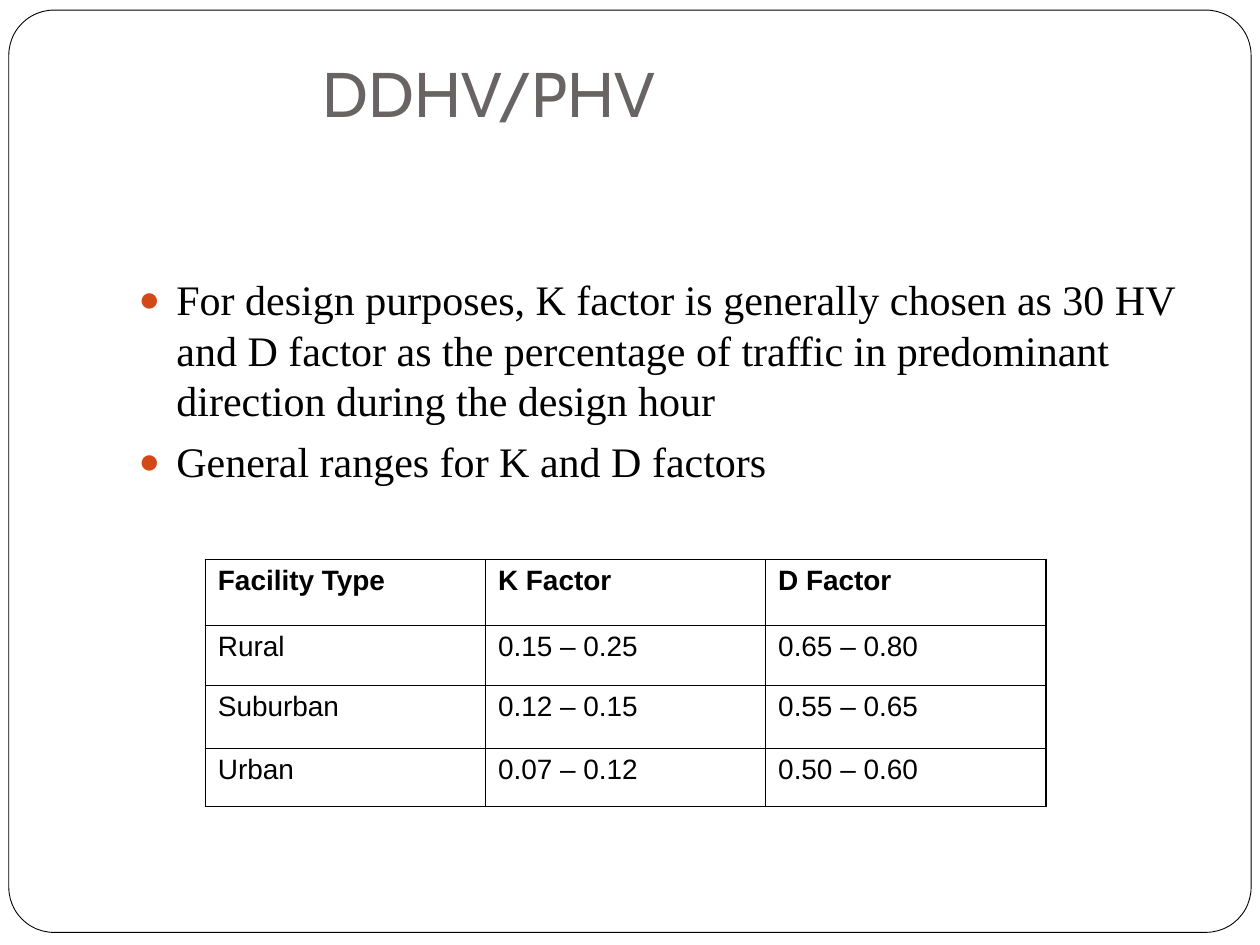
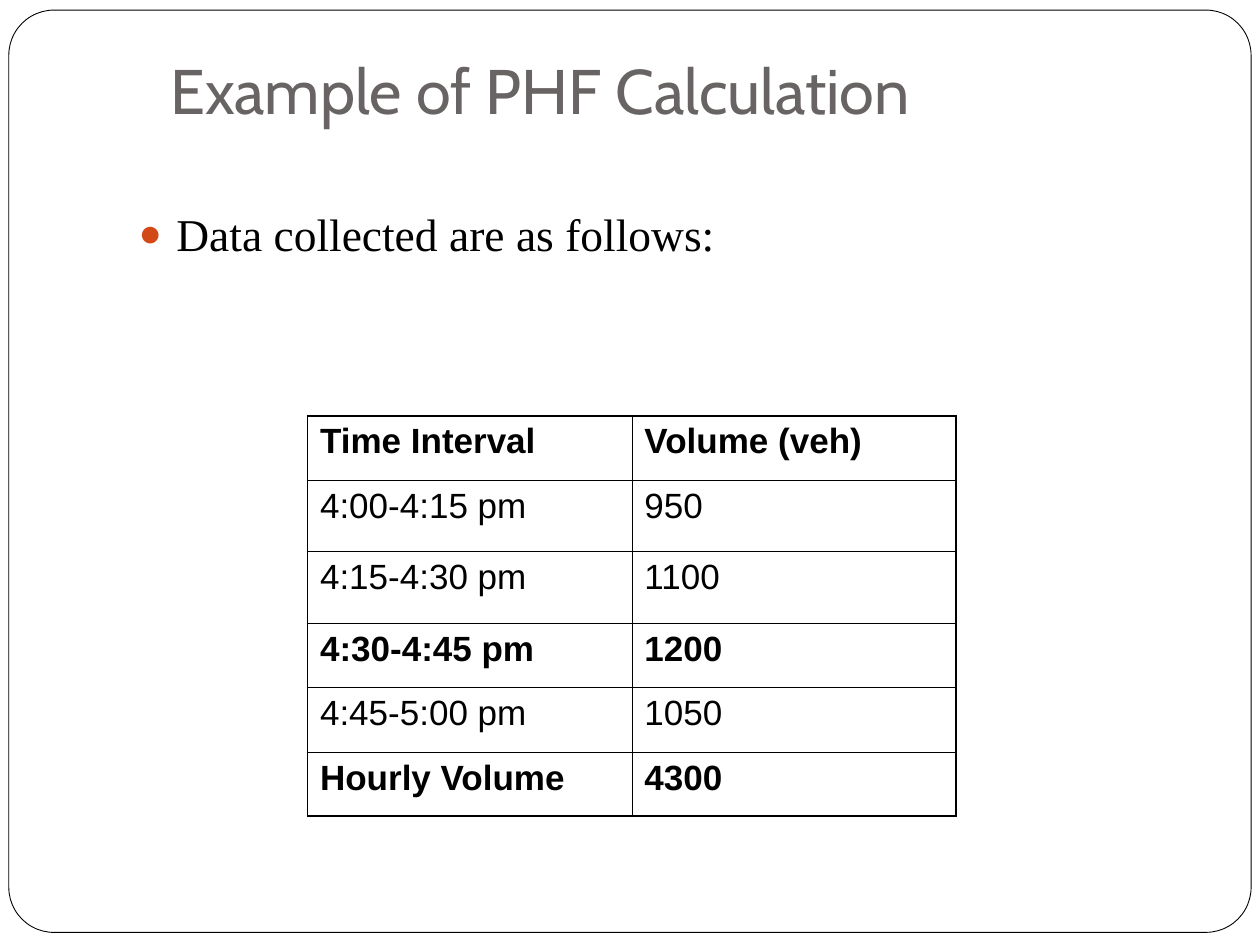
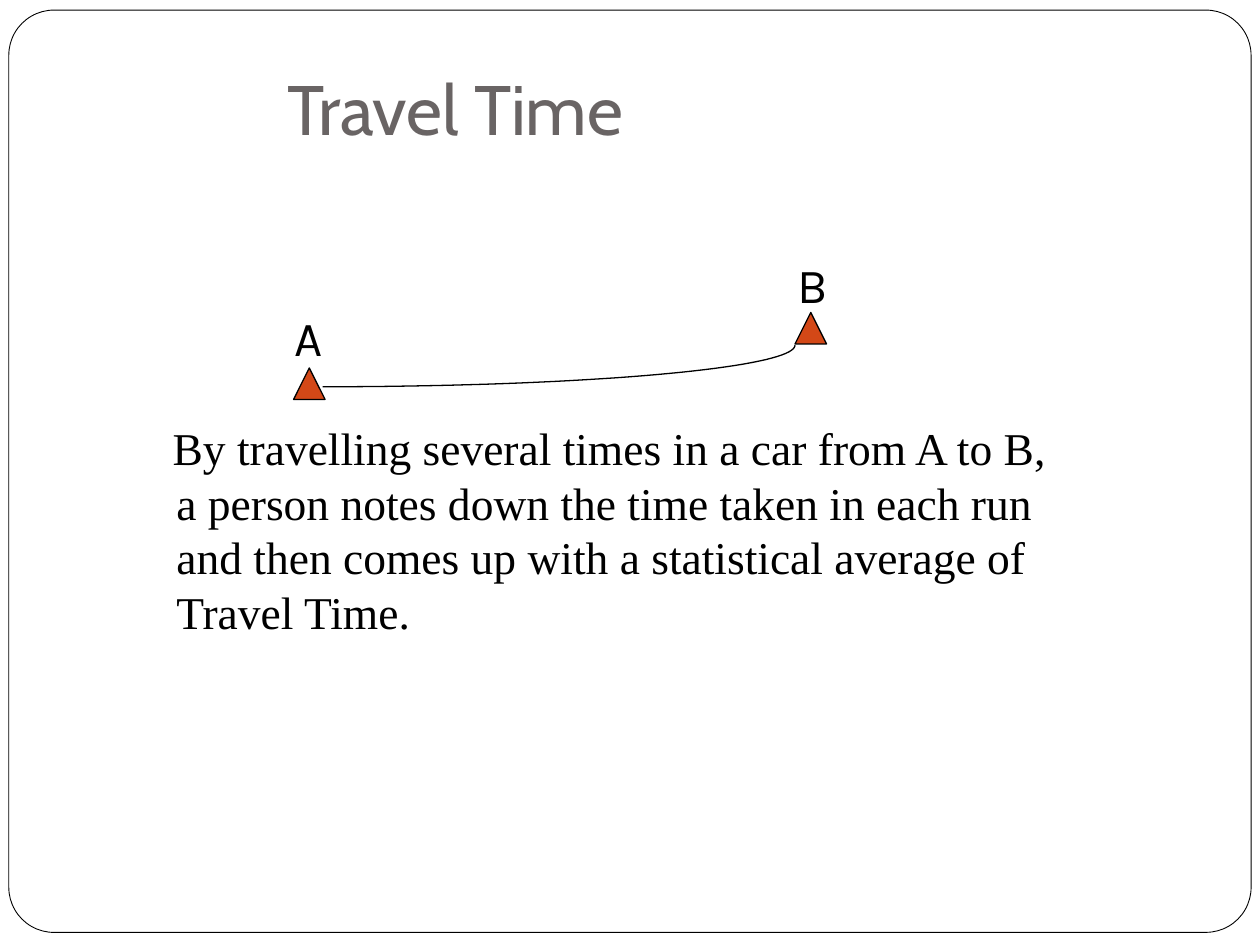
"""Build three traffic engineering slides on volumes and travel time."""
from dataclasses import dataclass
from math import cos, pi, sin

from lxml.etree import SubElement
from pptx import Presentation
from pptx.dml.color import RGBColor
from pptx.enum.shapes import MSO_SHAPE
from pptx.enum.text import MSO_ANCHOR, MSO_AUTO_SIZE, PP_ALIGN
from pptx.oxml.ns import qn
from pptx.util import Inches, Pt

COLORS = {"paper": "FFFFFF", "ink": "000000", "title": "696464", "accent": "D34817"}
TITLE_FONT, BODY_FONT, TABLE_FONT, LABEL_FONT = "Cabin", "Times New Roman", "Arial", "Karla"
BODY_INDENT = 0.3
LINE_PITCH = 1.205
OUTER_BORDER, INNER_BORDER = 1.08, 0.45


@dataclass
class Box:
    left: float
    top: float
    width: float
    height: float

    def lengths(self) -> list:
        return [Inches(side) for side in (self.left, self.top, self.width, self.height)]


@dataclass
class Title:
    text: str
    box: Box
    size: int = 36
    indent: float = 0


@dataclass
class Body:
    paragraphs: list[str]
    box: Box
    size: int
    bulleted: bool = True
    first_indent: float = -BODY_INDENT


@dataclass
class Grid:
    rows: list[list[str]]
    box: Box
    row_heights: list[float]
    bold_rows: set[int]
    size: int


@dataclass
class Station:
    label: str
    label_box: Box
    marker_box: Box


FRAME = Box(0.07, 0.08, 9.86, 7.32)
ROUTE = Box(2.56, 2.74, 3.75, 0.33)
STATIONS = [
    Station("A", Box(2.24, 2.39, 0.45, 0.57), Box(2.33, 2.92, 0.25, 0.25)),
    Station("B", Box(6.23, 1.97, 0.45, 0.57), Box(6.31, 2.48, 0.25, 0.25)),
]
FACTOR_GRID = Grid(
    [["Facility Type", "K Factor", "D Factor"],
     ["Rural", "0.15 – 0.25", "0.65 – 0.80"],
     ["Suburban", "0.12 – 0.15", "0.55 – 0.65"],
     ["Urban", "0.07 – 0.12", "0.50 – 0.60"]],
    Box(1.63, 4.44, 6.67, 1.96), [0.52, 0.48, 0.5, 0.46], {0}, 16)
VOLUME_GRID = Grid(
    [["Time Interval", "Volume (veh)"],
     ["4:00-4:15 pm", "950"],
     ["4:15-4:30 pm", "1100"],
     ["4:30-4:45 pm", "1200"],
     ["4:45-5:00 pm", "1050"],
     ["Hourly Volume", "4300"]],
    Box(2.44, 3.3, 5.15, 3.19), [0.51, 0.57, 0.57, 0.51, 0.51, 0.51], {0, 3, 5}, 20)


def rgb(name: str) -> RGBColor:
    return RGBColor.from_string(COLORS[name])


def style_font(paragraph, name: str, size: float, color: str = "ink", bold: bool = False) -> None:
    font = paragraph.font
    font.name, font.size, font.bold = name, Pt(size), bold
    font.color.rgb = rgb(color)


def place(shape, box: Box) -> None:
    shape.left, shape.top, shape.width, shape.height = box.lengths()


def style_shape(shape, fill: str | None, line_width: float) -> None:
    shape.shadow.inherit = False
    if fill:
        shape.fill.solid()
        shape.fill.fore_color.rgb = rgb(fill)
    else:
        shape.fill.background()
    shape.line.color.rgb = rgb("ink")
    shape.line.width = Pt(line_width)


def add_frame(presentation, slide) -> None:
    frame = slide.shapes.add_shape(MSO_SHAPE.ROUNDED_RECTANGLE, *FRAME.lengths())
    frame.adjustments[0] = 0.049
    style_shape(frame, "paper", 0.5)
    frame.element.nvSpPr.cNvPr.set("id", "20")
    presentation.slide_master.shapes.element.insert(2, frame.element)


def fill_title(slide, title: Title) -> None:
    shape = slide.shapes.title
    place(shape, title.box)
    text_frame = shape.text_frame
    text_frame.text = title.text
    text_frame.auto_size = MSO_AUTO_SIZE.NONE
    text_frame.vertical_anchor = MSO_ANCHOR.BOTTOM
    text_frame.margin_left = Inches(0.1 + title.indent)
    text_frame.margin_bottom = Inches(0.1)
    paragraph = text_frame.paragraphs[0]
    paragraph.alignment = PP_ALIGN.LEFT
    style_font(paragraph, TITLE_FONT, title.size, "title")


def set_bullet(paragraph, body: Body) -> None:
    properties = paragraph._p.get_or_add_pPr()
    properties.set("marL", str(Inches(BODY_INDENT)))
    properties.set("indent", str(Inches(body.first_indent)))
    if body.bulleted:
        color = SubElement(properties, qn("a:buClr"))
        SubElement(color, qn("a:srgbClr"), val=COLORS["accent"])
        SubElement(properties, qn("a:buSzPct"), val="85000")
        SubElement(properties, qn("a:buChar"), char="●")
    else:
        SubElement(properties, qn("a:buNone"))


def fill_body(slide, body: Body) -> None:
    shape = slide.placeholders[1]
    place(shape, body.box)
    text_frame = shape.text_frame
    text_frame.text = "\n".join(body.paragraphs)
    text_frame.auto_size = MSO_AUTO_SIZE.NONE
    for index, paragraph in enumerate(text_frame.paragraphs):
        set_bullet(paragraph, body)
        paragraph.space_before = Pt(5.8 if index else 0)
        paragraph.line_spacing = Pt(body.size * LINE_PITCH)
        style_font(paragraph, BODY_FONT, body.size)


def set_borders(cell, outer_sides: dict[str, bool]) -> None:
    properties = cell._tc.get_or_add_tcPr()
    for side, outer in outer_sides.items():
        width = Pt(OUTER_BORDER if outer else INNER_BORDER)
        line = SubElement(properties, qn(f"a:ln{side}"), w=str(width))
        fill = SubElement(line, qn("a:solidFill"))
        SubElement(fill, qn("a:srgbClr"), val=COLORS["ink"])


def add_grid(slide, grid: Grid) -> None:
    last_row, last_column = len(grid.rows) - 1, len(grid.rows[0]) - 1
    table = slide.shapes.add_table(last_row + 1, last_column + 1, *grid.box.lengths()).table
    table.first_row = table.horz_banding = False
    for row_index, values in enumerate(grid.rows):
        table.rows[row_index].height = Inches(grid.row_heights[row_index])
        for column_index, value in enumerate(values):
            cell = table.cell(row_index, column_index)
            cell.text = value
            set_borders(cell, {"L": column_index == 0, "R": column_index == last_column,
                               "T": row_index == 0, "B": row_index == last_row})
            cell.fill.background()
            style_font(cell.text_frame.paragraphs[0], TABLE_FONT, grid.size,
                       bold=row_index in grid.bold_rows)


def add_route(slide, box: Box, steps: int = 40) -> None:
    angles = [pi / 2 * (1 - step / steps) for step in range(steps + 1)]
    points = [(Inches(box.left + box.width * cos(angle)),
               Inches(box.top + box.height * sin(angle))) for angle in angles]
    builder = slide.shapes.build_freeform(*points[0])
    builder.add_line_segments(points[1:], close=False)
    style_shape(builder.convert_to_shape(), None, 0.75)


def add_station(slide, station: Station) -> None:
    label = slide.shapes.add_textbox(*station.label_box.lengths())
    label.text_frame.text = station.label
    label.text_frame.word_wrap = False
    style_font(label.text_frame.paragraphs[0], LABEL_FONT, 28)
    marker = slide.shapes.add_shape(MSO_SHAPE.ISOSCELES_TRIANGLE, *station.marker_box.lengths())
    style_shape(marker, "accent", 0.75)


def add_slide(presentation, title: Title, body: Body):
    slide = presentation.slides.add_slide(presentation.slide_layouts[1])
    fill_title(slide, title)
    fill_body(slide, body)
    return slide


def main() -> None:
    presentation = Presentation()
    presentation.slide_width, presentation.slide_height = Inches(10), Inches(7.5)

    factors = add_slide(
        presentation,
        Title("DDHV/PHV", Box(2.46, 0.32, 4.29, 0.81)),
        Body(["For design purposes, K factor is generally chosen as 30 HV and D factor as the "
              "percentage of traffic in predominant direction during the design hour",
              "General ranges for K and D factors"], Box(1, 2.12, 8.5, 4.5), 24))
    add_frame(presentation, factors)
    add_grid(factors, FACTOR_GRID)

    volumes = add_slide(
        presentation,
        Title("Example of PHF Calculation", Box(1.25, 0.34, 6.95, 0.77)),
        Body(["Data collected are as follows:"], Box(1, 1.58, 8.5, 5), 26))
    add_grid(volumes, VOLUME_GRID)

    travel = add_slide(
        presentation,
        Title("Travel Time", Box(1.93, 0.42, 4.86, 0.87), size=40, indent=0.25),
        Body(["By travelling several times in a car from A to B, a person notes down the time "
              "taken in each run and then comes up with a statistical average of Travel Time."],
             Box(1, 3.28, 7.58, 3.47), 26, bulleted=False, first_indent=-0.03))
    add_route(travel, ROUTE)
    for station in STATIONS:
        add_station(travel, station)

    presentation.save("out.pptx")


if __name__ == "__main__":
    main()
